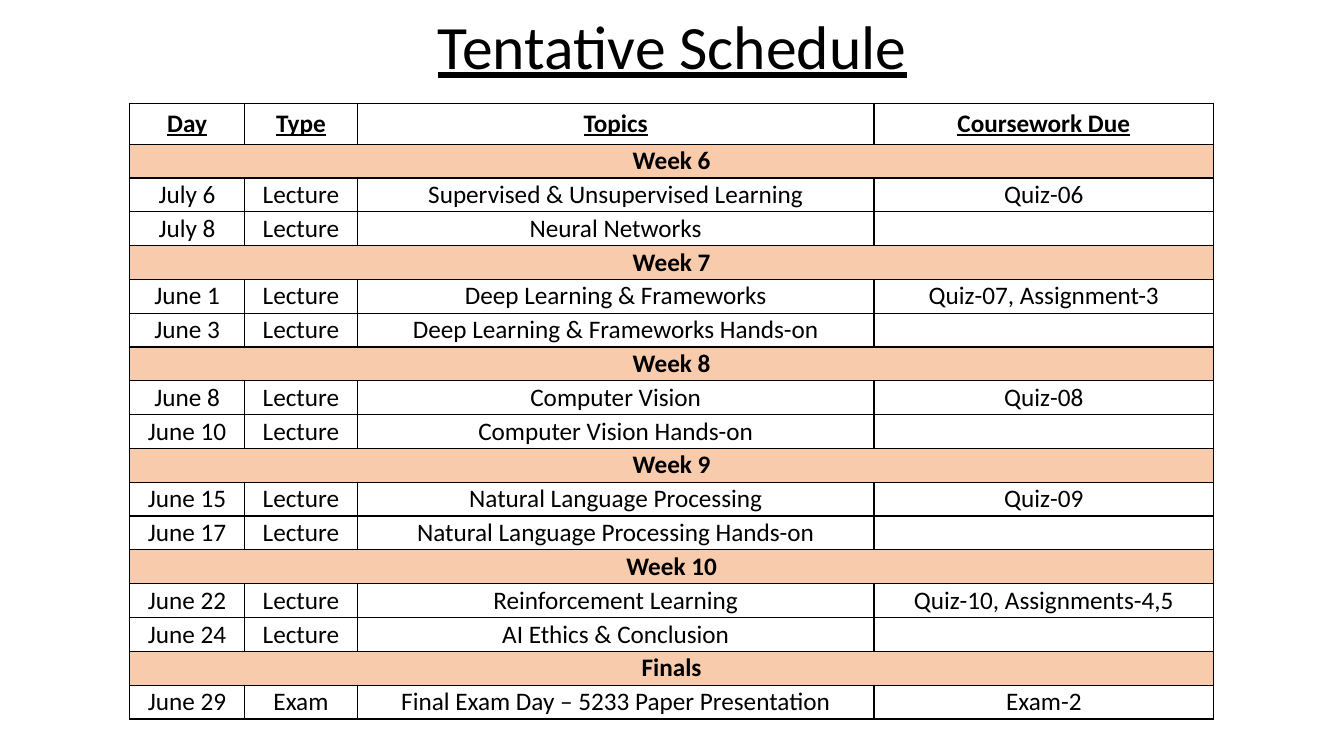
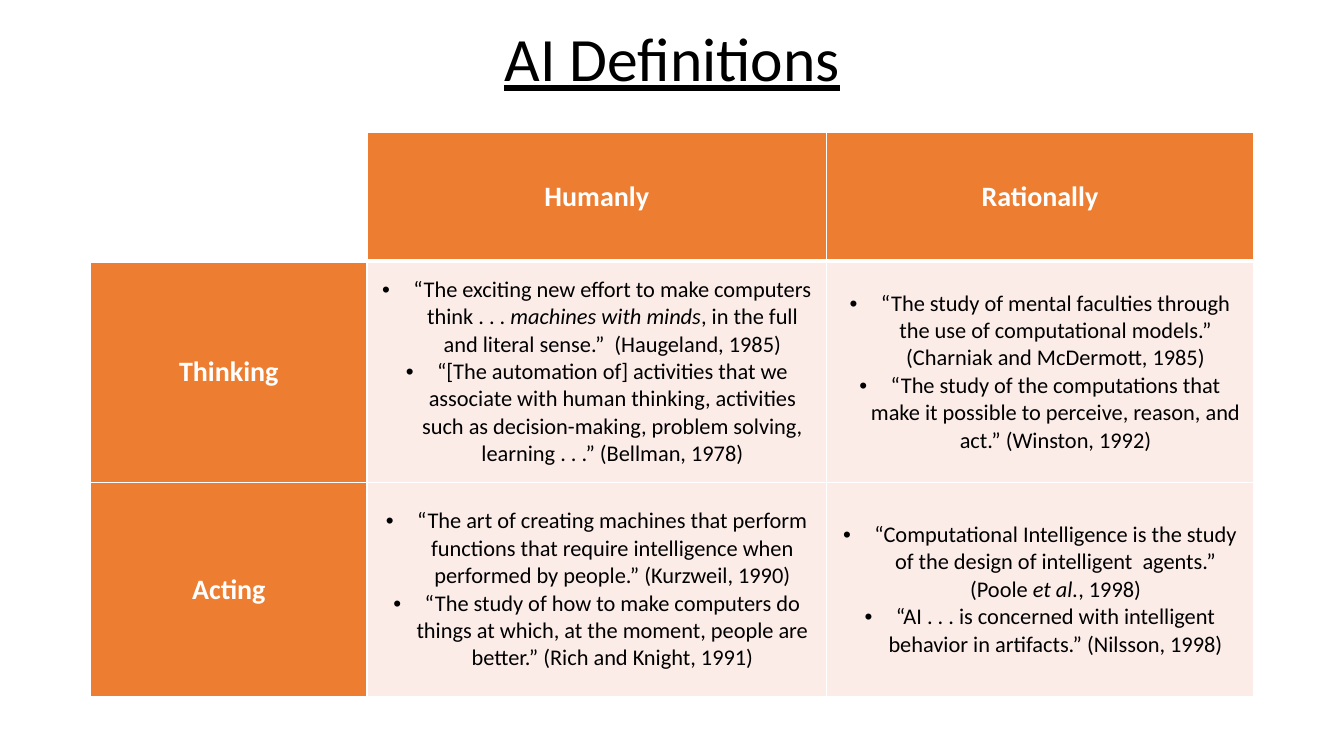
from lxml import etree
from pptx import Presentation
from pptx.dml.color import RGBColor
from pptx.enum.text import MSO_ANCHOR, PP_ALIGN
from pptx.oxml.ns import qn
from pptx.util import Inches, Pt

CENTER = PP_ALIGN.CENTER
MIDDLE = MSO_ANCHOR.MIDDLE
FONT = "Calibri"
COLORS = {
    "ink": "000000",
    "paper": "FFFFFF",
    "week": "F8CBAD",
    "head": "ED7D31",
    "body": "FCECE8",
}
WIDTH, HEIGHT = Inches(13.33), Inches(7.5)

SCHEDULE_HEAD = ("Day", "Type", "Topics", "Coursework Due")
SCHEDULE = {
    "Week 6": [
        ("July 6", "Lecture", "Supervised & Unsupervised Learning", "Quiz-06"),
        ("July 8", "Lecture", "Neural Networks", ""),
    ],
    "Week 7": [
        ("June 1", "Lecture", "Deep Learning & Frameworks", "Quiz-07, Assignment-3"),
        ("June 3", "Lecture", "Deep Learning & Frameworks Hands-on", ""),
    ],
    "Week 8": [
        ("June 8", "Lecture", "Computer Vision", "Quiz-08"),
        ("June 10", "Lecture", "Computer Vision Hands-on", ""),
    ],
    "Week 9": [
        ("June 15", "Lecture", "Natural Language Processing", "Quiz-09"),
        ("June 17", "Lecture", "Natural Language Processing Hands-on", ""),
    ],
    "Week 10": [
        ("June 22", "Lecture", "Reinforcement Learning", "Quiz-10, Assignments-4,5"),
        ("June 24", "Lecture", "AI Ethics & Conclusion", ""),
    ],
    "Finals": [
        ("June 29", "Exam", "Final Exam Day – 5233 Paper Presentation", "Exam-2"),
    ],
}

# Asterisks enclose italic words
APPROACHES = ("Humanly", "Rationally")
DEFINITIONS = {
    "Thinking": (
        ["“The exciting new effort to make computers think . . . "
         "*machines with minds*, in the full and literal sense.”  (Haugeland, 1985)",
         "“[The automation of] activities that we associate with human thinking, "
         "activities such as decision-making, problem solving, learning . . .” "
         "(Bellman, 1978)"],
        ["“The study of mental faculties through the use of computational models.” "
         "(Charniak and McDermott, 1985)",
         "“The study of the computations that make it possible to perceive, reason, "
         "and act.” (Winston, 1992)"],
    ),
    "Acting": (
        ["“The art of creating machines that perform functions that require "
         "intelligence when performed by people.” (Kurzweil, 1990)",
         "“The study of how to make computers do things at which, at the moment, "
         "people are better.” (Rich and Knight, 1991)"],
        ["“Computational Intelligence is the study of the design of intelligent  "
         "agents.” (Poole *et al.*, 1998)",
         "“AI . . . is concerned with intelligent behavior in artifacts.” "
         "(Nilsson, 1998)"],
    ),
}


def place(box):
    """Turn left, top, width, height in percent of the slide into lengths."""
    left, top, width, height = box
    return (int(WIDTH * left / 100), int(HEIGHT * top / 100),
            int(WIDTH * width / 100), int(HEIGHT * height / 100))


def write(frame, texts, size=18, color="ink", bold=False, underline=False,
          bullet=False, spacing=None):
    """Write one centred paragraph for each text."""
    for index, text in enumerate(texts):
        para = frame.add_paragraph() if index else frame.paragraphs[0]
        para.alignment = CENTER
        if spacing:
            para.line_spacing = spacing
        if bullet:
            props = para._p.get_or_add_pPr()
            props.set("marL", str(Inches(0.31)))
            props.set("indent", str(-Inches(0.31)))
            etree.SubElement(props, qn("a:buFont"), typeface="Arial")
            etree.SubElement(props, qn("a:buChar"), char="•")
        for part, words in enumerate(text.split("*")):
            if words:
                span = para.add_run()
                span.text = words
                font = span.font
                font.name, font.size = FONT, Pt(size)
                font.bold, font.underline = bold, underline
                font.italic = part % 2 == 1
                font.color.rgb = RGBColor.from_string(COLORS[color])


def add_title(page, box, text):
    frame = page.shapes.add_textbox(*place(box)).text_frame
    frame.word_wrap = True
    frame.vertical_anchor = MIDDLE
    write(frame, [text], size=44, underline=True, spacing=0.9)


def add_grid(page, box, columns, rows):
    """Add a plain table whose columns and rows share the box by weight."""
    left, top, width, height = place(box)
    frame = page.shapes.add_table(len(rows), len(columns), left, top, width, height)
    table = frame.table
    table.first_row = table.horz_banding = False
    for column, weight in zip(table.columns, columns):
        column.width = int(width * weight / sum(columns))
    for row, weight in zip(table.rows, rows):
        row.height = int(height * weight / sum(rows))
    return table


def style_cell(cell, fill=None, line="ink", widths=(1, 1, 1, 1), insets=None):
    """Set borders (left, right, top, bottom), fill, anchor and margins."""
    props = cell._tc.get_or_add_tcPr()
    for side, width in zip("LRTB", widths):
        edge = etree.SubElement(props, qn("a:ln" + side), w=str(Pt(width)))
        paint = etree.SubElement(edge, qn("a:solidFill"))
        etree.SubElement(paint, qn("a:srgbClr"), val=COLORS[line])
    if fill:
        cell.fill.solid()
        cell.fill.fore_color.rgb = RGBColor.from_string(COLORS[fill])
    else:
        cell.fill.background()
    cell.vertical_anchor = MIDDLE
    if insets:
        cell.margin_left = cell.margin_right = Inches(insets[0])
        cell.margin_top = cell.margin_bottom = Inches(insets[1])


def add_schedule(page, box):
    lines = [SCHEDULE_HEAD]
    for week, days in SCHEDULE.items():
        lines += [(week,), *days]
    table = add_grid(page, box, (1.14, 1.12, 5.13, 3.37), [6] + [5] * (len(lines) - 1))
    for row, line in enumerate(lines):
        is_head, is_week = row == 0, len(line) == 1
        for column in range(len(SCHEDULE_HEAD)):
            style_cell(table.cell(row, column), fill="week" if is_week else None,
                       insets=(0.07, 0))
        if is_week:
            table.cell(row, 0).merge(table.cell(row, len(SCHEDULE_HEAD) - 1))
        for column, text in enumerate(line):
            write(table.cell(row, column).text_frame, [text],
                  bold=is_head or is_week, underline=is_head)


def add_definitions(page, box):
    table = add_grid(page, box, (2.74, 4.56, 4.23), (1.28, 2.2, 2.12))
    lines = [("", *APPROACHES)]
    lines += [(label, *quotes) for label, quotes in DEFINITIONS.items()]
    for row, line in enumerate(lines):
        # The rule below the heading row is thicker
        widths = (1, 1, 3 if row == 1 else 1, 3 if row == 0 else 1)
        for column, content in enumerate(line):
            cell = table.cell(row, column)
            if row and column:
                style_cell(cell, "body", "paper", widths)
                write(cell.text_frame, content, size=16, bullet=True)
            else:
                style_cell(cell, "head" if content else None, "paper", widths)
                write(cell.text_frame, [content], size=20, color="paper", bold=True)


def main():
    deck = Presentation()
    deck.slide_width, deck.slide_height = WIDTH, HEIGHT
    blank = deck.slide_layouts[6]

    # Schedule
    page = deck.slides.add_slide(blank)
    add_schedule(page, (9.65, 13.7, 80.65, 81.4))
    add_title(page, (6.9, 0.7, 86.25, 11.6), "Tentative Schedule")

    # Definitions
    page = deck.slides.add_slide(blank)
    add_title(page, (6.9, 1.35, 86.25, 13.7), "AI Definitions")
    add_definitions(page, (6.75, 17.45, 86.5, 74.7))

    deck.save("out.pptx")


if __name__ == "__main__":
    main()
